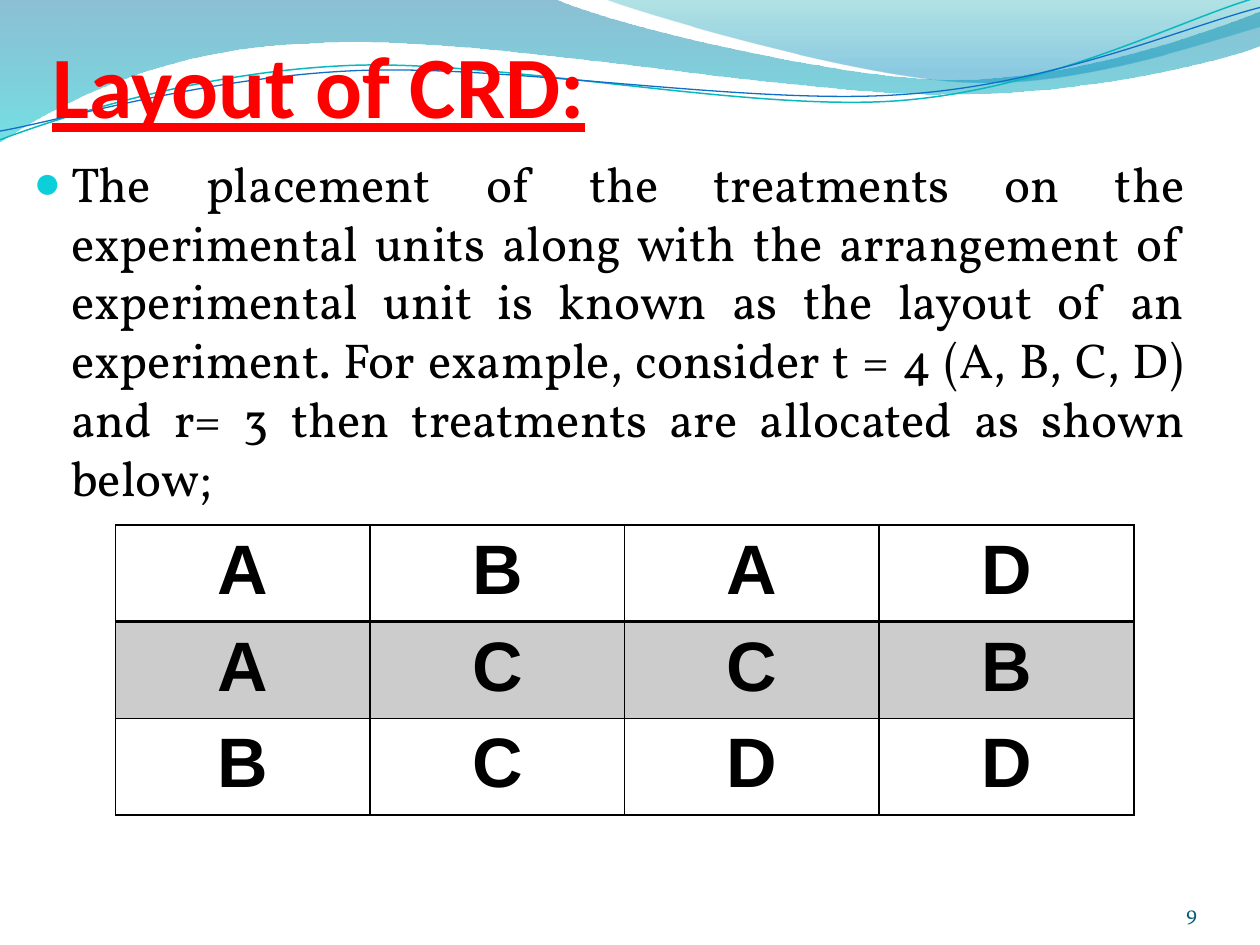
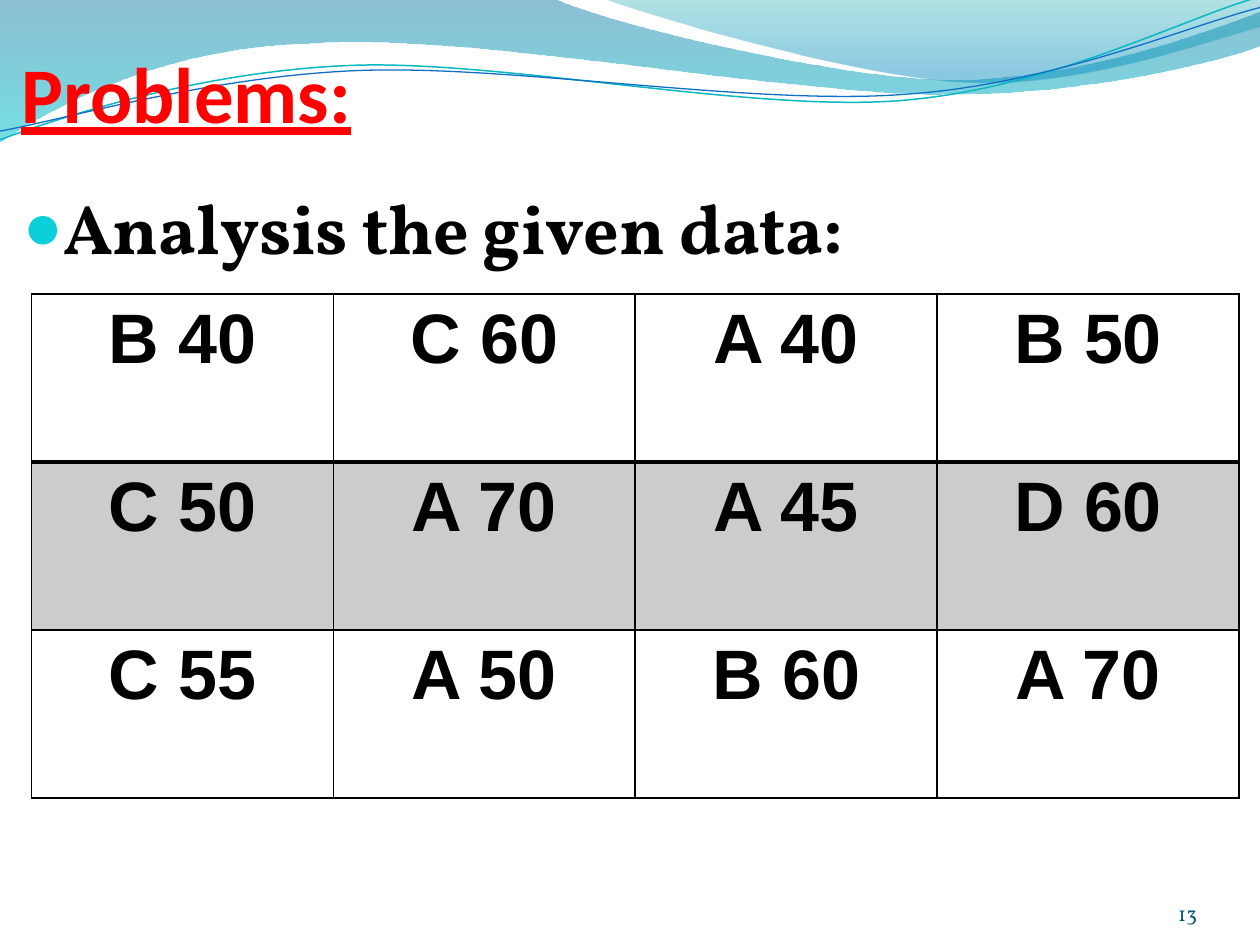
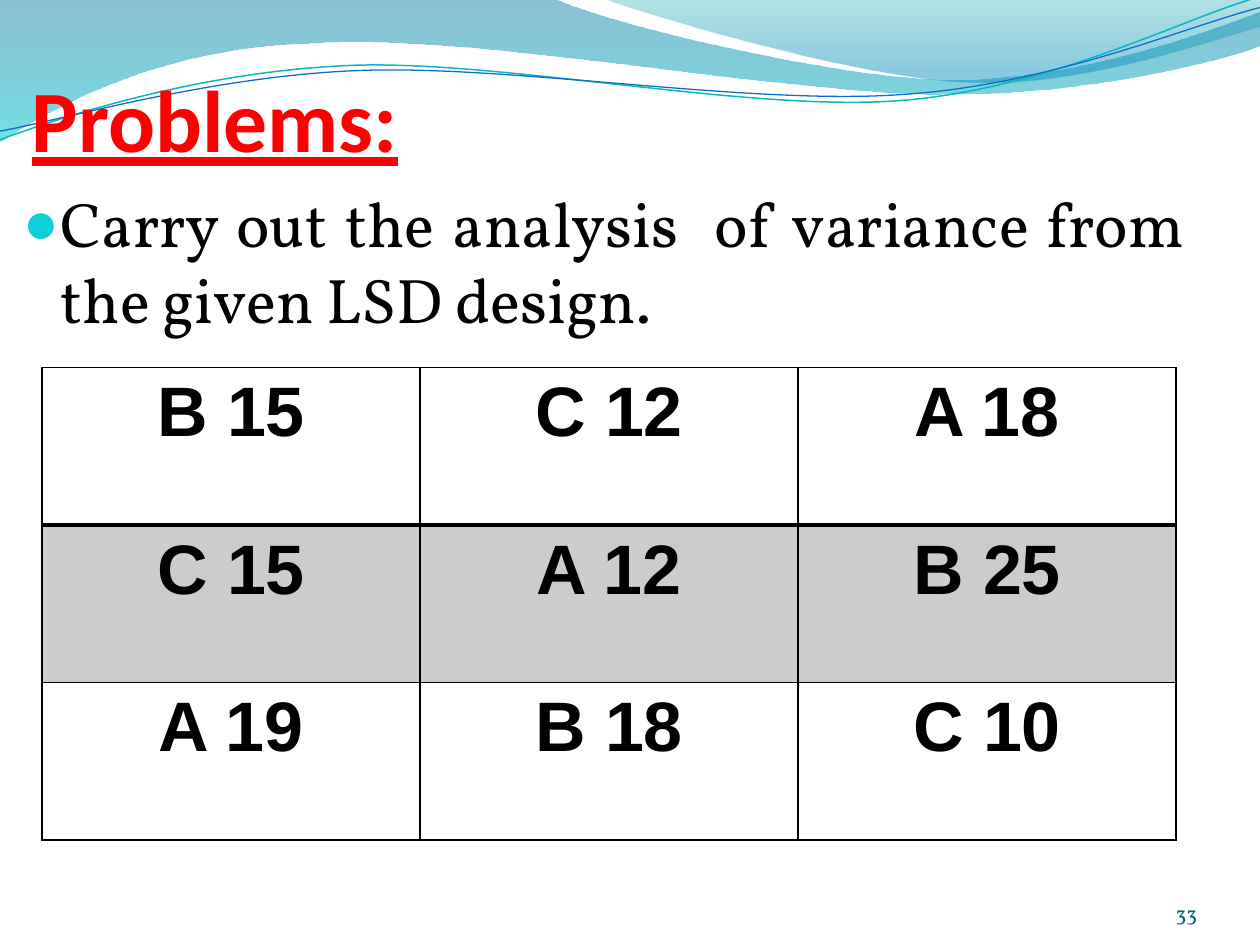
from lxml.etree import SubElement
from pptx import Presentation
from pptx.dml.color import RGBColor
from pptx.enum.text import MSO_ANCHOR, PP_ALIGN
from pptx.oxml.ns import qn
from pptx.util import Pt

RED, BLACK, GRAY, TEAL, BULLET = "FF0000", "000000", "CCCCCC", "045D75", "0BD0D9"
HEAD_FONT, BODY_FONT, TABLE_FONT = "Calibri", "Vollkorn", "Arial"

WAVES = [
    dict(height=82.1, stops=[(0, "0074A1", 45), (1, "00C6CF", 55)],
         outline=[(0, 0), (316.8, -0.7), (342.7, 12.2, 478.1, 45.4, 545.8, 45.4),
                  (614.2, 45.4, 689.8, 18.7, 720, 6.5), (720.7, 25.9),
                  (707.8, 31.7, 626.4, 54.7, 537.1, 54),
                  (447.8, 54, 275, 20.2, 185, 24.5),
                  (92.9, 25.9, 33.1, 59.8, -0.7, 81.4), (0, 0)]),
    dict(height=50.4, stops=[(0, "00A1A9", 30), (0.8, "008BBF", 45)],
         outline=[(344.9, -0.7), (366.5, 7.9, 491, 44.6, 553.7, 46.8),
                  (616.3, 49.7, 691.9, 23, 720, 15.1), (720, 0), (344.9, -0.7)]),
    dict(height=51.1, line=("0AB8BF", 0.85),
         outline=[(-1.4, 62.9), (33.7, 51.6, 114, 29.4, 199.8, 29.9),
                  (284.8, 30.3, 425.8, 67.2, 512.4, 64.8),
                  (599, 62.4, 676.4, 25.7, 720.2, 15.5)]),
    dict(height=41.8, line=("0F6FC6", 0.75),
         outline=[(-1.1, 57.9), (32.9, 53.7, 118.3, 32.5, 204, 33),
                  (290.5, 33.4, 428.9, 63.8, 515.5, 61.3),
                  (601.4, 59.7, 678.5, 30.1, 721.4, 21.3)]),
]
SLIDES = [
    dict(number="9", title="Layout of CRD:", title_box=(30, 6, 648, 72), title_size=50,
         body="The placement of the treatments on the experimental units along with the "
              "arrangement of experimental unit is known as the layout of an experiment. "
              "For example, consider t = 4 (A, B, C, D) and r= 3 then treatments are "
              "allocated as shown below;",
         body_box=(12, 84, 672, 444), body_size=28, body_bold=False,
         table_box=(66, 300, 582, 165.3),
         rows=["A|B|A|D", "A|C|C|B", "B|C|D|D"]),
    dict(number="13", title="Problems:", title_box=(12.2, 24, 648, 55.6), title_size=45,
         body="Analysis the given data:",
         body_box=(6, 102, 708, 420), body_size=40, body_bold=True,
         table_box=(18, 168, 690, 288),
         rows=["B 40|C 60|A 40|B 50", "C 50|A 70|A 45|D 60", "C 55|A 50|B 60|A 70"]),
    dict(number="33", title="Problems:", title_box=(18.2, 24, 648, 73.4), title_size=50,
         body="Carry out the analysis  of variance from the given LSD design.",
         body_box=(6, 102, 678, 396), body_size=36, body_bold=False,
         table_box=(24, 210, 648, 270),
         rows=["B 15|C 12|A 18", "C 15|A 12|B 25", "A 19|B 18|C 10"]),
]


def rgb(color):
    return RGBColor.from_string(color)


def add_text(s, box, text, font, size, color, insets, align=PP_ALIGN.LEFT,
             anchor=MSO_ANCHOR.BOTTOM, bold=False):
    tf = s.shapes.add_textbox(*map(Pt, box)).text_frame
    tf.word_wrap = True
    tf.vertical_anchor = anchor
    tf.margin_left, tf.margin_top, tf.margin_right, tf.margin_bottom = map(Pt, insets)
    p = tf.paragraphs[0]
    p.text = text
    p.alignment = align
    r = p.runs[0]
    r.font.name, r.font.size, r.font.bold = font, Pt(size), bold
    r.font.color.rgb = rgb(color)
    return p


prs = Presentation()
prs.slide_width, prs.slide_height = Pt(720), Pt(540)

for data in SLIDES:
    s = prs.slides.add_slide(prs.slide_layouts[6])

    for wave in WAVES:
        ends = [(Pt(segment[-2]), Pt(segment[-1])) for segment in wave["outline"]]
        builder = s.shapes.build_freeform(*ends[0])
        builder.add_line_segments(ends[1:], close="stops" in wave)
        sp = builder.convert_to_shape()
        sp.shadow.inherit = False
        sp.height = Pt(wave["height"])
        geometry = next(sp.element.iter(qn("a:path")))
        geometry.set("h", str(sp.height))
        for node, segment in zip(list(geometry), wave["outline"]):
            if len(segment) == 6:
                curve = SubElement(geometry, qn("a:cubicBezTo"))
                for x, y in zip(segment[::2], segment[1::2]):
                    SubElement(curve, qn("a:pt"), x=str(Pt(x) - sp.left), y=str(Pt(y) - sp.top))
                geometry.replace(node, curve)
        if "stops" in wave:
            sp.line.fill.background()
            sp.fill.gradient()
            sp.fill.gradient_angle = 270
            for stop, (position, color, _) in zip(sp.fill.gradient_stops, wave["stops"]):
                stop.position = position
                stop.color.rgb = rgb(color)
            colors = list(sp.element.spPr.iter(qn("a:srgbClr")))
            for clr, (_, _, opacity) in zip(colors, wave["stops"]):
                SubElement(clr, qn("a:alpha"), val=str(opacity * 1000))
        else:
            color, width = wave["line"]
            sp.rotation = 357.3
            sp.fill.background()
            sp.line.color.rgb = rgb(color)
            sp.line.width = Pt(width)

    p = add_text(s, data["title_box"], data["title"], HEAD_FONT, data["title_size"], RED,
                 (0, 3.6, 0, 0), bold=True)
    p.runs[0].font.underline = True

    p = add_text(s, data["body_box"], data["body"], BODY_FONT, data["body_size"], BLACK,
                 (7.2, 3.6, 7.2, 3.6), PP_ALIGN.JUSTIFY, MSO_ANCHOR.TOP, data["body_bold"])
    p.space_before = Pt(0.2 * data["body_size"])
    pPr = p._p.get_or_add_pPr()
    pPr.set("marL", str(Pt(21.6)))
    pPr.set("indent", str(Pt(-21.6)))
    SubElement(SubElement(pPr, qn("a:buClr")), qn("a:srgbClr"), val=BULLET)
    SubElement(pPr, qn("a:buSzPct"), val="95000")
    SubElement(pPr, qn("a:buFont"), typeface=TABLE_FONT)
    SubElement(pPr, qn("a:buChar"), char="●")

    rows = [row.split("|") for row in data["rows"]]
    table = s.shapes.add_table(len(rows), len(rows[0]), *map(Pt, data["table_box"])).table
    table.first_row = table.horz_banding = False
    for i, row in enumerate(rows):
        for j, text in enumerate(row):
            cell = table.cell(i, j)
            cell.text = text
            p = cell.text_frame.paragraphs[0]
            p.alignment = PP_ALIGN.CENTER
            font = p.runs[0].font
            font.name, font.size, font.bold = TABLE_FONT, Pt(40), True
            font.color.rgb = rgb(BLACK)
            tcPr = cell._tc.get_or_add_tcPr()
            for side in "LRTB":
                width = 2 if (i, side) in [(0, "B"), (1, "T")] else 1
                ln = SubElement(tcPr, qn(f"a:ln{side}"), w=str(Pt(width)))
                SubElement(SubElement(ln, qn("a:solidFill")), qn("a:srgbClr"), val=BLACK)
            if i % 2:
                cell.fill.solid()
                cell.fill.fore_color.rgb = rgb(GRAY)
            else:
                cell.fill.background()

    add_text(s, (624, 500.4, 60, 28.8), data["number"], BODY_FONT, 12, TEAL,
             (0, 0, 0, 0), PP_ALIGN.RIGHT)

prs.save("out.pptx")
